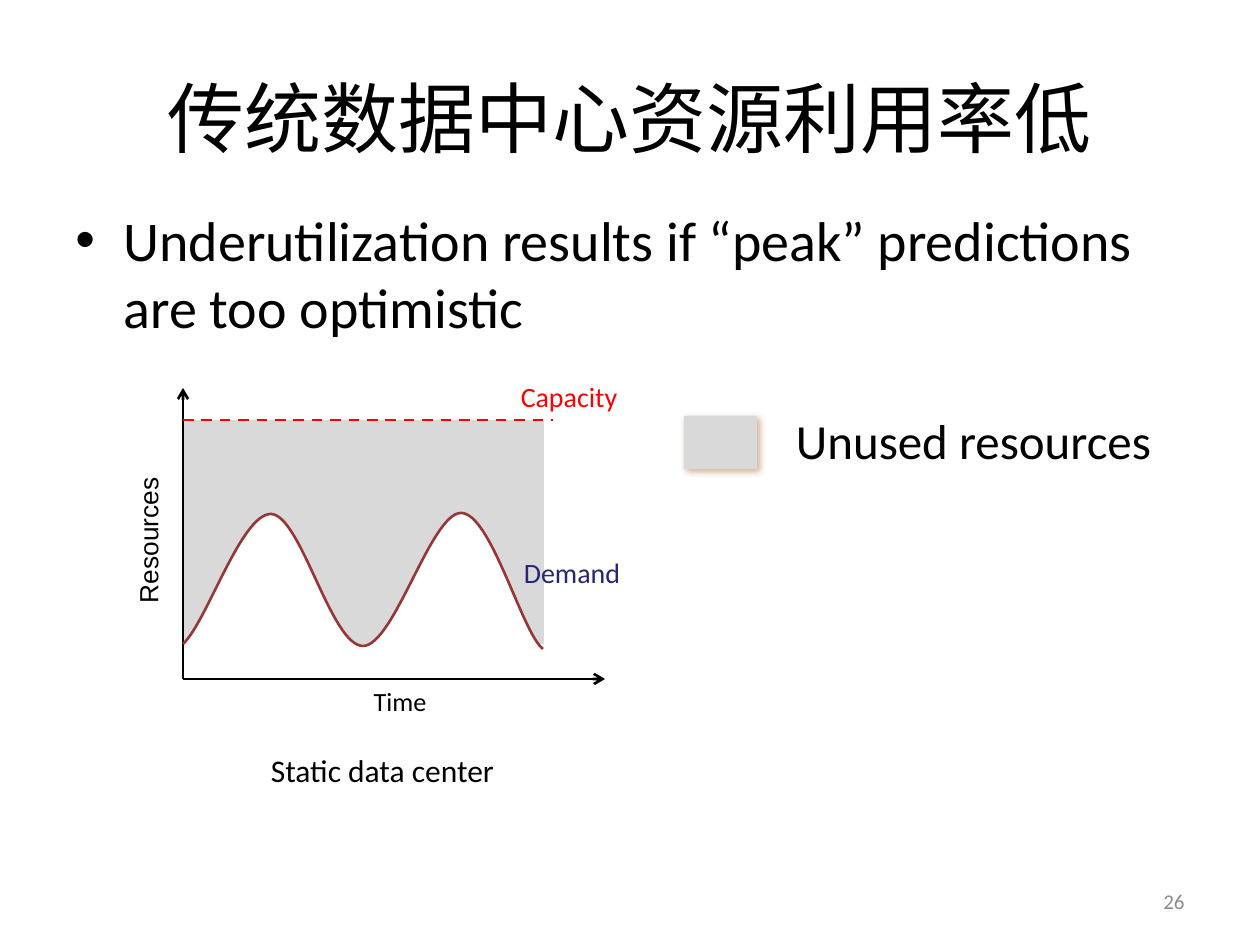
"""Builds a slide on low resource utilisation in traditional data centres."""
import itertools
from dataclasses import dataclass, field

import pptx
import pptx.dml.color
import pptx.enum.dml
import pptx.enum.shapes
import pptx.enum.text
import pptx.oxml.ns
import pptx.util
from lxml import etree

RGBColor = pptx.dml.color.RGBColor
Align = pptx.enum.text.PP_ALIGN
Anchor = pptx.enum.text.MSO_ANCHOR
qn = pptx.oxml.ns.qn

BLACK = RGBColor(0x00, 0x00, 0x00)
WHITE = RGBColor(0xFF, 0xFF, 0xFF)
UNUSED_GRAY = RGBColor(0xD9, 0xD9, 0xD9)
NUMBER_GRAY = RGBColor(0x8C, 0x8C, 0x8C)
CAPACITY_RED = RGBColor(0xFF, 0x00, 0x00)
DEMAND_BLUE = RGBColor(0x26, 0x26, 0x73)
CURVE_RED = RGBColor(0x95, 0x37, 0x35)
SHADOW_BROWN = RGBColor(0x98, 0x48, 0x07)

EMU_PER_PX = 914400 / 126
LINE_WIDTH = pptx.util.Pt(1.5)
ORIGIN = (183, 679)
CAPACITY_Y = 420


@dataclass
class Label:
    text: str
    box: tuple[int, int, int, int]
    style: dict = field(default_factory=dict)


@dataclass
class Stroke:
    start: tuple[int, int]
    end: tuple[int, int]
    color: RGBColor = BLACK
    arrow: bool = True


SLIDE_LABELS = [
    Label("Unused resources", (760, 404, 427, 72), {"size": 28}),
    Label("传统数据中心资源利用率低", (63, 38, 1134, 158),
          {"size": 44, "font": "Arial", "wrap": True, "anchor": Anchor.MIDDLE}),
    Label("26", (903, 876, 294, 50),
          {"size": 12, "color": NUMBER_GRAY, "align": Align.RIGHT,
           "wrap": True, "anchor": Anchor.MIDDLE}),
    Label("Underutilization results if “peak” predictions are too optimistic",
          (63, 199, 1155, 725),
          {"size": 32, "align": Align.LEFT, "wrap": True, "bullet": True}),
    Label("Static data center", (205, 745, 355, 64), {"size": 18}),
]
GRAPH_LABELS = [
    Label("Demand", (507, 549, 130, 47), {"color": DEMAND_BLUE}),
    Label("Capacity", (503, 373, 132, 47), {"color": CAPACITY_RED}),
    Label("Time", (359, 679, 82, 44), {"size": 15}),
    Label("Resources", (126, 471, 57, 139),
          {"size": 15, "font": "Arial", "vertical": True}),
]
AXES = [Stroke(ORIGIN, (183, 388)), Stroke(ORIGIN, (605, 679))]
CAPACITY = Stroke((183, CAPACITY_Y), (553, CAPACITY_Y), CAPACITY_RED, False)
DEMAND_START = (183, 644)
DEMAND_CURVES = [
    [(207, 622), (241, 514), (271, 514)],
    [(301, 515), (331, 646), (363, 646)],
    [(394, 646), (431, 513), (461, 513)],
    [(491, 513), (522, 633), (543, 649)],
]


def px(*lengths: int) -> list[int]:
    return [round(length * EMU_PER_PX) for length in lengths]


def add_text(shapes, text: str, box: tuple, *, size: int = 16,
             font: str = "Calibri", color: RGBColor = BLACK,
             align=Align.CENTER, anchor=Anchor.TOP, wrap: bool = False,
             bullet: bool = False, vertical: bool = False) -> None:
    frame = shapes.add_textbox(*px(*box)).text_frame
    frame.word_wrap = wrap
    frame.vertical_anchor = anchor
    if not wrap:
        frame.auto_size = pptx.enum.text.MSO_AUTO_SIZE.SHAPE_TO_FIT_TEXT
    if vertical:
        frame._txBody.bodyPr.set("vert", "vert270")
    paragraph = frame.paragraphs[0]
    paragraph.alignment = align
    if bullet:
        properties = paragraph._p.get_or_add_pPr()
        indent = px(48)[0]
        properties.set("marL", str(indent))
        properties.set("indent", str(-indent))
        etree.SubElement(properties, qn("a:buFont"), typeface="Arial")
        etree.SubElement(properties, qn("a:buChar"), char="•")
    run = paragraph.add_run()
    run.text = text
    run.font.size = pptx.util.Pt(size)
    run.font.name = font
    run.font.color.rgb = color


def add_unused_area(shapes, box: tuple):
    area = shapes.add_shape(pptx.enum.shapes.MSO_SHAPE.RECTANGLE, *px(*box))
    area.fill.solid()
    area.fill.fore_color.rgb = UNUSED_GRAY
    area.line.fill.background()
    area.shadow.inherit = False
    return area


def add_drop_shadow(shape) -> None:
    effects = shape._element.spPr.find(qn("a:effectLst"))
    shadow = etree.SubElement(
        effects, qn("a:outerShdw"), blurRad=str(pptx.util.Pt(4)),
        dist=str(pptx.util.Pt(2)), dir="2700000", algn="tl", rotWithShape="0")
    tint = etree.SubElement(shadow, qn("a:srgbClr"), val=str(SHADOW_BROWN))
    etree.SubElement(tint, qn("a:alpha"), val="43000")


def add_stroke(shapes, stroke: Stroke) -> None:
    line = shapes.add_connector(pptx.enum.shapes.MSO_CONNECTOR.STRAIGHT,
                                *px(*stroke.start, *stroke.end))
    line.line.color.rgb = stroke.color
    line.line.width = LINE_WIDTH
    if stroke.arrow:
        etree.SubElement(line.line._get_or_add_ln(), qn("a:tailEnd"), type="arrow")
    else:
        line.line.dash_style = pptx.enum.dml.MSO_LINE.DASH
    etree.SubElement(line._element.spPr, qn("a:effectLst"))


def add_demand_curve(shapes) -> None:
    builder = shapes.build_freeform(*DEMAND_START, scale=EMU_PER_PX)
    builder.add_line_segments(itertools.chain(*DEMAND_CURVES), close=False)
    curve = builder.convert_to_shape()
    curve.fill.solid()
    curve.fill.fore_color.rgb = WHITE
    curve.line.color.rgb = CURVE_RED
    curve.line.width = LINE_WIDTH
    curve.shadow.inherit = False
    outline = next(curve._element.iter(qn("a:path")))
    segments = outline.findall(qn("a:lnTo"))
    for first in range(0, len(segments), 3):
        bezier = etree.SubElement(outline, qn("a:cubicBezTo"))
        for segment in segments[first:first + 3]:
            bezier.append(segment[0])
            outline.remove(segment)


def main() -> None:
    deck = pptx.Presentation()
    deck.slide_width, deck.slide_height = px(1260, 945)
    slide = deck.slides.add_slide(deck.slide_layouts[6])

    add_unused_area(slide.shapes, (184, CAPACITY_Y, 360, 224))
    add_drop_shadow(add_unused_area(slide.shapes, (684, 416, 73, 53)))
    for label in SLIDE_LABELS:
        add_text(slide.shapes, label.text, label.box, **label.style)

    graph = slide.shapes.add_group_shape().shapes
    for axis in AXES:
        add_stroke(graph, axis)
    add_demand_curve(graph)
    add_stroke(graph, CAPACITY)
    for label in GRAPH_LABELS:
        add_text(graph, label.text, label.box, **label.style)

    deck.save("out.pptx")


if __name__ == "__main__":
    main()
